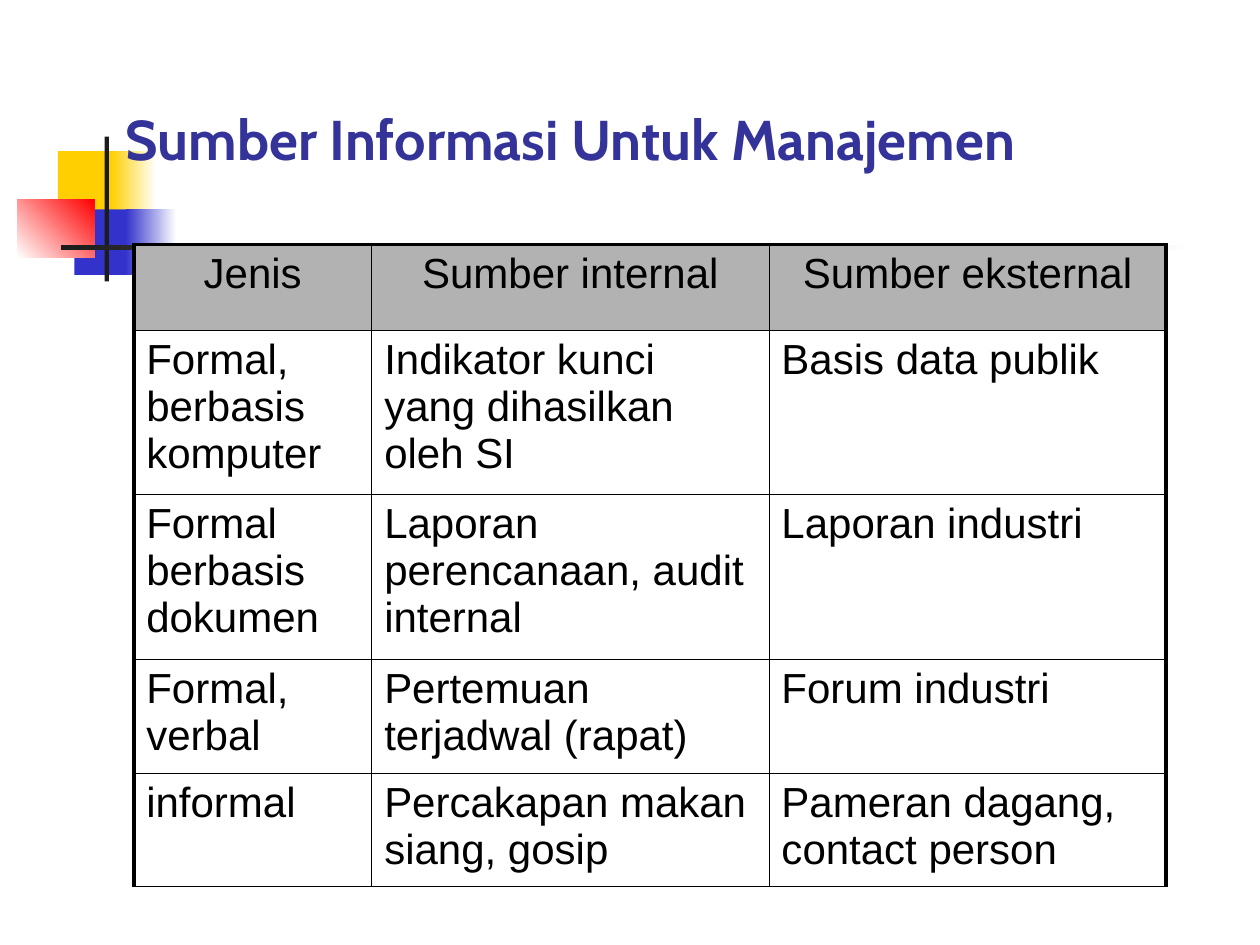
from lxml import etree
from pptx import Presentation
from pptx.dml.color import RGBColor
from pptx.enum.shapes import MSO_SHAPE
from pptx.enum.text import MSO_ANCHOR, PP_ALIGN
from pptx.oxml.ns import qn
from pptx.util import Pt

RECTANGLE = MSO_SHAPE.RECTANGLE
BOTTOM = MSO_ANCHOR.BOTTOM
LEFT, CENTER = PP_ALIGN.LEFT, PP_ALIGN.CENTER

THEME = {
    "yellow": "FFCF01", "blue": "3333CC", "red": "FF0000", "white": "FFFFFF",
    "dark": "1C1C1C", "title": "333399", "text": "000000", "header": "B2B2B2",
    "title_font": "Cabin", "body_font": "Arial", "title_size": 32, "body_size": 24,
    "thin": 0.45, "thick": 2.5,
}

# Content
TITLE = "Sumber Informasi Untuk Manajemen"
SOURCES = [
    ("Jenis", "Sumber internal", "Sumber eksternal"),
    ("Formal, berbasis komputer", "Indikator kunci yang dihasilkan oleh SI", "Basis data publik"),
    ("Formal berbasis dokumen", "Laporan perencanaan, audit internal", "Laporan industri"),
    ("Formal, verbal", "Pertemuan terjadwal (rapat)", "Forum industri"),
    ("informal", "Percakapan makan siang, gosip", "Pameran dagang, contact person"),
]

# Layout in points: left, top, width, height
TITLE_BOX = (64.8, 25.9, 613.4, 75.6)
TABLE_ORIGIN = (76.4, 139.7)
COLUMN_WIDTHS = (136, 227, 227)
ROW_HEIGHTS = (49, 94, 94, 65, 65)

# Corner ornament: box, start colour, end colour (None = solid), angle
ORNAMENT = [
    ((33.1, 86.4, 34.6, 37.4), "yellow", None, 0),
    ((63.4, 86.4, 25.9, 37.4), "yellow", "white", 0),
    ((42.5, 119.7, 33.1, 37.4), "blue", None, 0),
    ((72, 119.7, 28.8, 37.4), "blue", "white", 0),
    ((10, 113.8, 44, 33.3), "white", "red", 45),
    ((59.8, 78, 2.5, 82.8), "dark", None, 0),
    ((34.6, 140.2, 648, 2.5), "dark", "white", 0),
]


def color(name):
    return RGBColor.from_string(THEME[name])


def write(frame, text, align, formats):
    paragraph = frame.paragraphs[0]
    paragraph.alignment = align
    run = paragraph.add_run()
    run.text = text
    for attribute, value in formats["font"].items():
        setattr(run.font, attribute, value)
    run.font.color.rgb = color(formats["color"])


def add_border(cell, side, width):
    line = etree.SubElement(cell._tc.get_or_add_tcPr(), qn(f"a:ln{side}"), w=str(Pt(width)))
    fill = etree.SubElement(line, qn("a:solidFill"))
    etree.SubElement(fill, qn("a:srgbClr"), val=THEME["text"])


TITLE_FORMAT = {"color": "title", "font": {
    "name": THEME["title_font"], "size": Pt(THEME["title_size"]), "bold": True}}
BODY_FORMAT = {"color": "text", "font": {
    "name": THEME["body_font"], "size": Pt(THEME["body_size"])}}

deck = Presentation()
deck.slide_width, deck.slide_height = Pt(720), Pt(540)
slide = deck.slides.add_slide(deck.slide_layouts[6])

# Corner ornament
for box, start, end, angle in ORNAMENT:
    block = slide.shapes.add_shape(RECTANGLE, *map(Pt, box))
    block.shadow.inherit = False
    block.line.fill.background()
    if end:
        block.fill.gradient()
        block.fill.gradient_angle = angle
        for stop, name, position in zip(block.fill.gradient_stops, (start, end), (0, 1)):
            stop.color.rgb = color(name)
            stop.position = position
    else:
        block.fill.solid()
        block.fill.fore_color.rgb = color(start)

# Table of sources
table_size = (sum(COLUMN_WIDTHS), sum(ROW_HEIGHTS))
table = slide.shapes.add_table(
    len(SOURCES), len(COLUMN_WIDTHS), *map(Pt, TABLE_ORIGIN + table_size)).table
table.first_row = table.horz_banding = False
for column, width in zip(table.columns, COLUMN_WIDTHS):
    column.width = Pt(width)
for row, height in zip(table.rows, ROW_HEIGHTS):
    row.height = Pt(height)

last_column = len(COLUMN_WIDTHS) - 1
for r, source in enumerate(SOURCES):
    for c, text in enumerate(source):
        cell = table.cell(r, c)
        write(cell.text_frame, text, LEFT if r else CENTER, BODY_FORMAT)
        # Thick frame on the left, right and top; thin lines elsewhere
        thick_sides = {"L": c == 0, "R": c == last_column, "T": r == 0, "B": False}
        for side, is_thick in thick_sides.items():
            add_border(cell, side, THEME["thick" if is_thick else "thin"])
        if r == 0:
            cell.fill.solid()
            cell.fill.fore_color.rgb = color("header")
        else:
            cell.fill.background()

# Title
title = slide.shapes.add_textbox(*map(Pt, TITLE_BOX)).text_frame
title.word_wrap = True
title.vertical_anchor = BOTTOM
write(title, TITLE, LEFT, TITLE_FORMAT)

deck.save("out.pptx")
